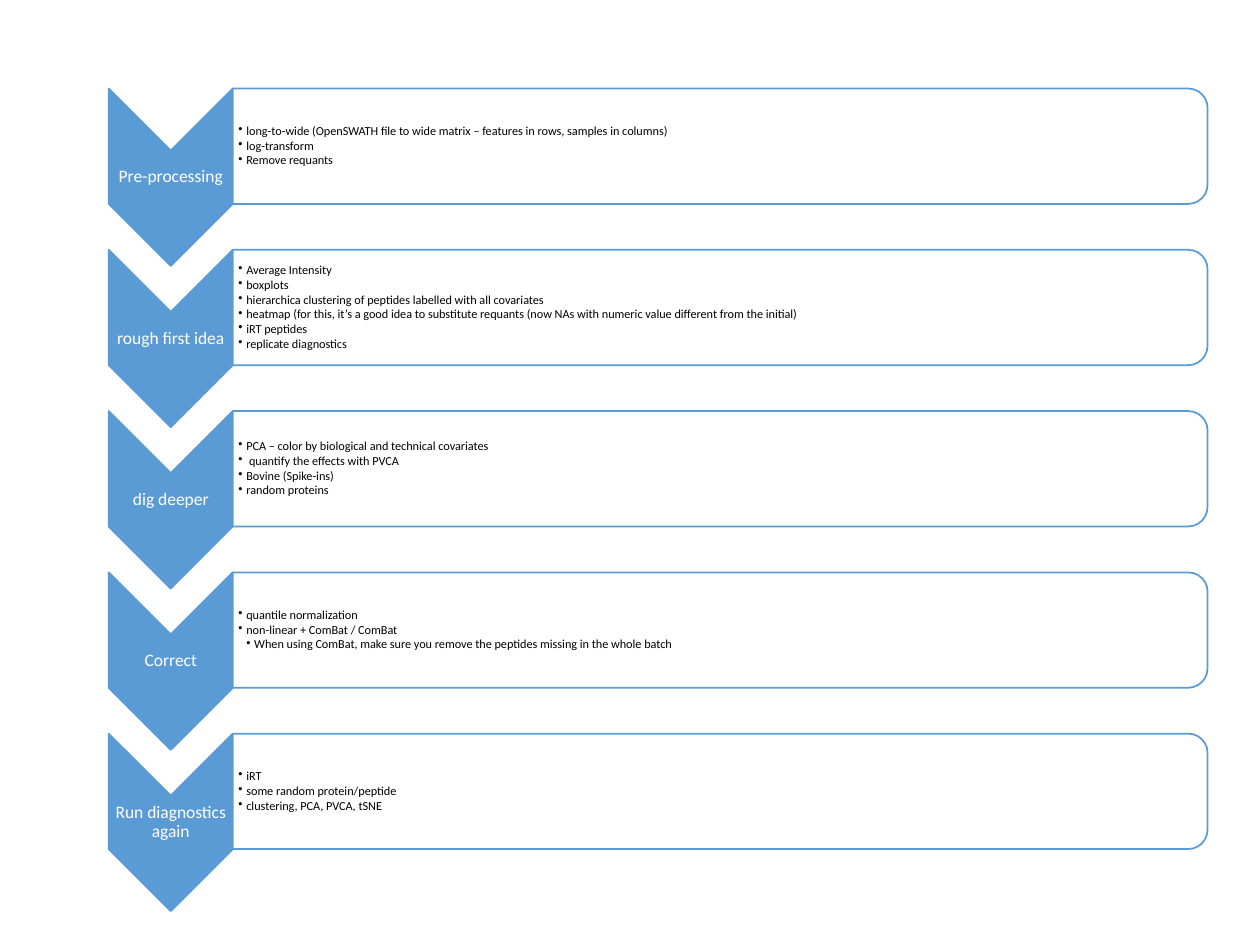
from lxml import etree
from pptx import Presentation
from pptx.dml.color import RGBColor
from pptx.enum.shapes import MSO_SHAPE
from pptx.enum.text import MSO_ANCHOR, PP_ALIGN
from pptx.oxml.ns import qn
from pptx.util import Pt

BLUE = RGBColor(0x5B, 0x9B, 0xD5)
WHITE = RGBColor(0xFF, 0xFF, 0xFF)
BLACK = RGBColor(0, 0, 0)

# Layout in points
TOP, STEP = 50.6, 92.16
CHEVRON_LEFT, CHEVRON_W, CHEVRON_H = 62.1, 70.9, 101.4
PANEL_LEFT, PANEL_W, PANEL_H = 133, 557, 65.9
LABEL_H = 30.4
LIST_INSET = 3.25
INDENT = 4.5

# Each step: label, then (level, text) items
STEPS = [
    ("Pre-processing", [
        (1, "long-to-wide (OpenSWATH file to wide matrix – features in rows, samples in columns)"),
        (1, "log-transform"),
        (1, "Remove requants")]),
    ("rough first idea", [
        (1, "Average Intensity"),
        (1, "boxplots"),
        (1, "hierarchica clustering of peptides labelled with all covariates"),
        (1, "heatmap (for this, it’s a good idea to substitute requants "
            "(now NAs with numeric value different from the initial)"),
        (1, "iRT peptides"),
        (1, "replicate diagnostics")]),
    ("dig deeper", [
        (1, "PCA – color by biological and technical covariates"),
        (1, " quantify the effects with PVCA"),
        (1, "Bovine (Spike-ins)"),
        (1, "random proteins")]),
    ("Correct", [
        (1, "quantile normalization"),
        (1, "non-linear + ComBat / ComBat"),
        (2, "When using ComBat, make sure you remove the peptides missing in the whole batch")]),
    ("Run diagnostics again", [
        (1, "iRT"),
        (1, "some random protein/peptide"),
        (1, "clustering, PCA, PVCA, tSNE")]),
]


class Canvas:
    """Slide plus the style of its elements."""
    font = "Calibri"

    def __init__(self, slide):
        self.shapes = slide.shapes

    def turned_shape(self, kind, left, top, width, height, fill):
        """Shape turned 90 degrees that covers the given area."""
        shape = self.shapes.add_shape(
            kind, Pt(left + (width - height) / 2), Pt(top + (height - width) / 2),
            Pt(height), Pt(width))
        shape.rotation = 90
        shape.shadow.inherit = False
        shape.fill.solid()
        shape.fill.fore_color.rgb = fill
        shape.line.color.rgb = BLUE
        shape.line.width = Pt(1)

    def text_frame(self, left, top, width, height, insets):
        frame = self.shapes.add_textbox(Pt(left), Pt(top), Pt(width), Pt(height)).text_frame
        frame.word_wrap = True
        frame.vertical_anchor = MSO_ANCHOR.MIDDLE
        (frame.margin_left, frame.margin_top,
         frame.margin_right, frame.margin_bottom) = map(Pt, insets)
        return frame

    def styled_run(self, paragraph, text, size, color):
        paragraph.line_spacing = 0.9
        run = paragraph.add_run()
        run.text = text
        run.font.name, run.font.size = self.font, Pt(size)
        run.font.color.rgb = color

    def label(self, text, left, top, width, height):
        frame = self.text_frame(left, top, width, height, [0.5] * 4)
        frame.paragraphs[0].alignment = PP_ALIGN.CENTER
        self.styled_run(frame.paragraphs[0], text, 10, WHITE)

    def bullets(self, items, left, top, width, height):
        frame = self.text_frame(left, top, width, height, (LIST_INSET, 0, 0, 0))
        for i, (level, text) in enumerate(items):
            paragraph = frame.add_paragraph() if i else frame.paragraphs[0]
            self.styled_run(paragraph, text, 7, BLACK)
            paragraph.level = level
            paragraph.space_after = Pt(0.9)
            props = paragraph._p.get_or_add_pPr()
            props.set("marL", str(Pt(INDENT * level)))
            props.set("indent", str(-Pt(INDENT)))
            etree.SubElement(props, qn("a:buChar")).set("char", "•")


prs = Presentation()
prs.slide_width, prs.slide_height = Pt(720), Pt(540)
canvas = Canvas(prs.slides.add_slide(prs.slide_layouts[6]))

# One row per step: chevron with label, panel with list
for row, (name, items) in enumerate(STEPS):
    top = TOP + row * STEP
    canvas.turned_shape(MSO_SHAPE.CHEVRON, CHEVRON_LEFT, top, CHEVRON_W, CHEVRON_H, BLUE)
    canvas.label(name, CHEVRON_LEFT, top + CHEVRON_W / 2, CHEVRON_W, LABEL_H)
    canvas.turned_shape(MSO_SHAPE.ROUND_2_SAME_RECTANGLE,
                        PANEL_LEFT, top, PANEL_W, PANEL_H, WHITE)
    canvas.bullets(items, PANEL_LEFT, top + 3.2, PANEL_W - 3.2, PANEL_H - 6.4)

prs.save("out.pptx")
